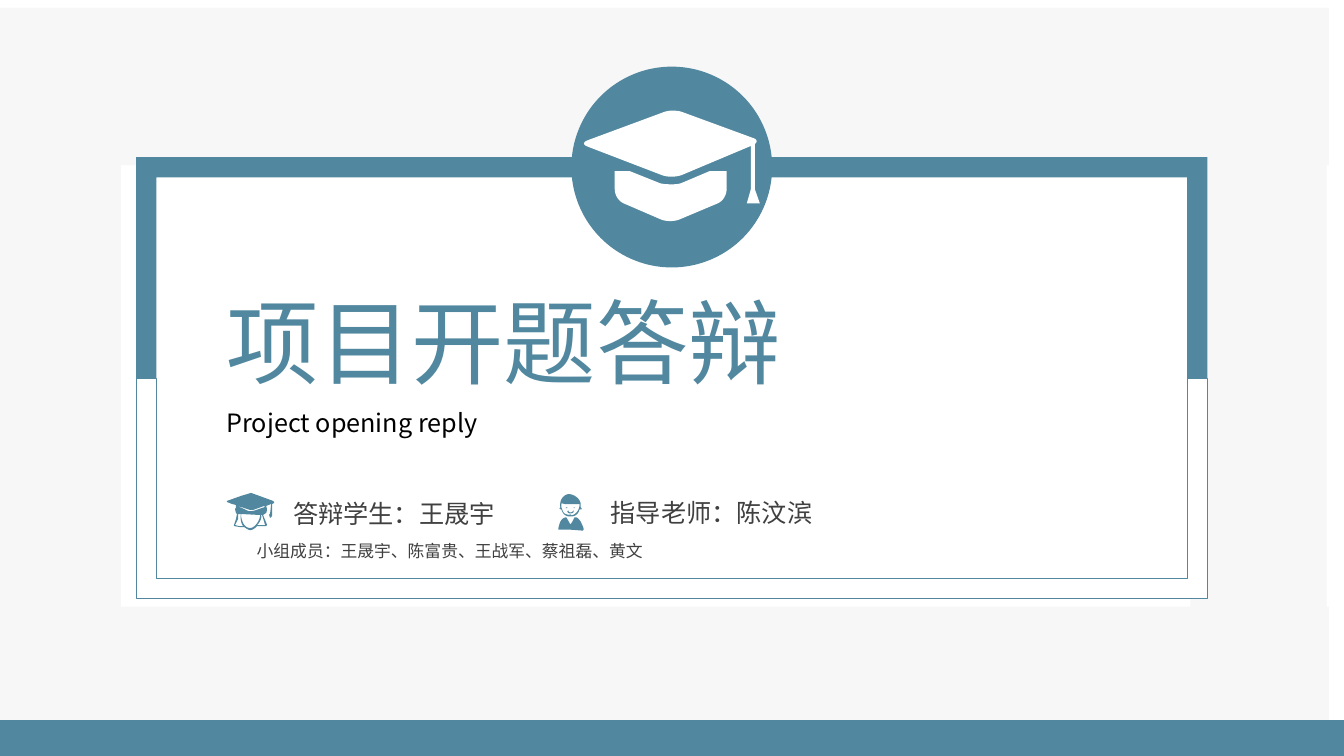
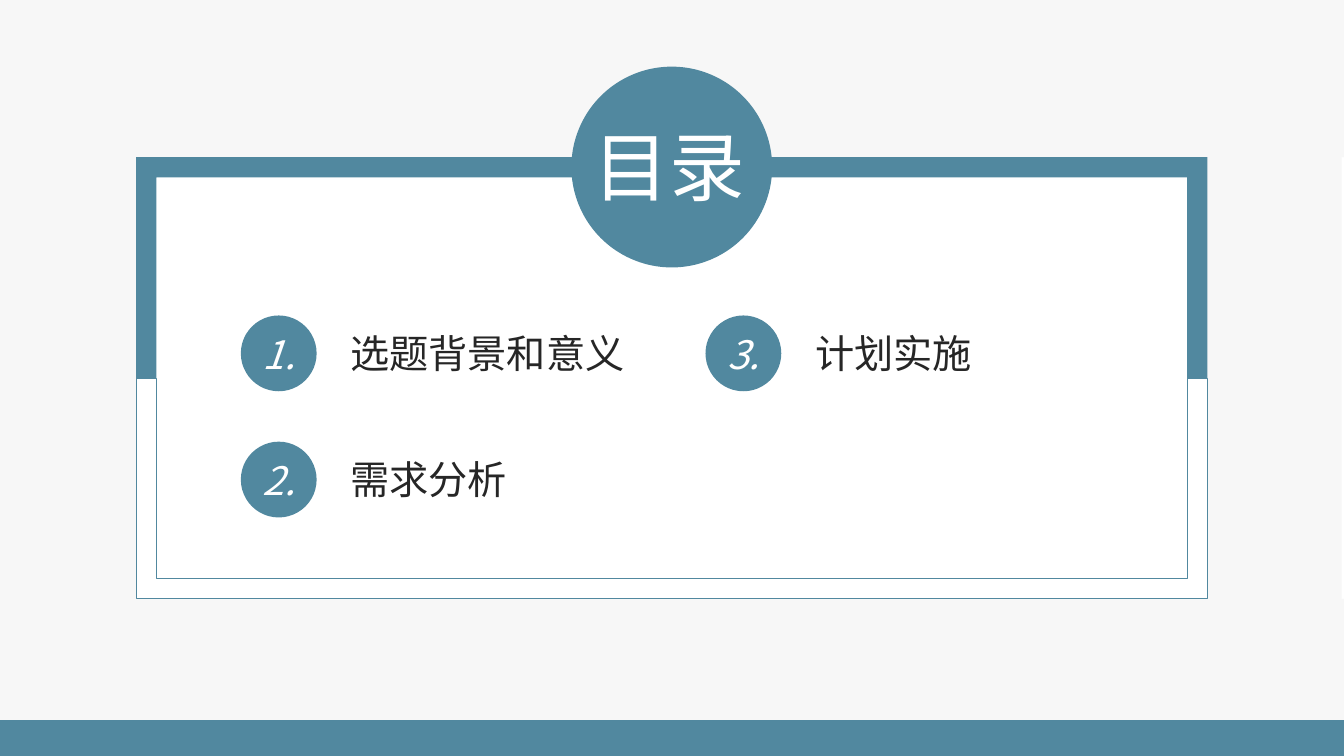
from dataclasses import dataclass

from lxml import etree
from pptx import Presentation
from pptx import util as u
from pptx.dml.color import RGBColor
from pptx.enum import shapes, text
from pptx.oxml.ns import qn


@dataclass(frozen=True)
class Theme:
    font: str = "Noto Sans CJK SC"
    accent: str = "51889F"
    backdrop: str = "F7F7F7"
    white: str = "FFFFFF"
    black: str = "000000"
    detail: str = "404040"
    agenda: str = "262626"
    cover_size: int = 66
    heading_size: int = 54
    agenda_size: int = 28
    body_size: int = 18
    small_size: int = 12


THEME = Theme()
SLIDE_WIDTH, SLIDE_HEIGHT = 33.87, 19.05
FRAME_LEFT, FRAME_TOP, FRAME_RIGHT, FRAME_BOTTOM = 3.43, 3.96, 30.43, 15.09
FRAME_MIDDLE, FRAME_THICKNESS = 9.53, 0.51
STEPS = 8  # straight pieces per curve

Contour = list[tuple[float, ...]]  # a pair is a corner, six numbers a Bézier curve


@dataclass(frozen=True)
class Box:
    """A rectangle in centimetres."""
    left: float
    top: float
    width: float
    height: float

    def lengths(self) -> list[u.Length]:
        return [u.Cm(n) for n in (self.left, self.top, self.width, self.height)]


@dataclass(frozen=True)
class Label:
    words: str
    box: Box
    size: int
    color: str


@dataclass(frozen=True)
class Icon:
    """Contours on a grid that is drawn `width` centimetres wide."""
    left: float
    top: float
    width: float
    grid: int
    color: str
    contours: list[Contour]


CAP = Icon(14.73, 2.79, 4.42, 174, THEME.white, [
    [(30, 60), (45, 60), (75, 72), (79, 73, 83, 73, 86, 73), (90, 73, 94, 73, 98, 71),
     (124, 60), (141, 60), (141, 78), (141, 84, 137, 90, 132, 92), (94, 108),
     (89, 110, 81, 110, 76, 108), (39, 92), (34, 90, 30, 84, 30, 78)],
    [(86, 0), (90, 0, 93, 0, 96, 1), (167, 27), (171, 28, 172, 31, 169, 33),
     (169, 78), (174, 92), (161, 92), (165, 78), (165, 35), (96, 64),
     (90, 66, 82, 66, 77, 64), (4, 36), (-2, 34, -2, 31, 4, 29), (77, 2),
     (79, 1, 83, 0, 86, 0)],
])
STUDENT = Icon(5.72, 12.42, 1.19, 47, THEME.accent, [
    [(47, 9), (46, 8), (35, 4), (24, 0), (14, 3), (0, 8), (0, 9), (5, 11), (9, 12),
     (9, 15), (8, 16), (9, 20), (10, 21), (9, 26), (7, 32), (7, 33), (13, 34),
     (17, 34), (19, 35, 21, 37, 23, 37), (26, 37, 28, 35, 30, 33), (39, 33), (40, 32),
     (36, 22), (39, 20), (40, 18, 40, 15, 39, 13), (44, 11), (43, 20), (42, 22),
     (43, 25), (45, 23), (45, 11), (47, 10)],
    [(15, 33), (12, 33), (8, 32), (11, 26), (11, 21), (14, 21), (13, 25, 14, 30, 16, 33)],
    [(23, 35), (17, 35, 14, 27, 14, 21), (33, 22), (33, 27, 28, 35, 23, 35)],
    [(38, 32), (30, 32), (33, 29, 35, 25, 34, 22), (35, 22)],
    [(32, 16), (29, 17, 27, 18, 25, 18), (22, 19, 19, 17, 17, 16), (10, 13), (14, 14),
     (23, 17), (26, 17), (37, 13), (38, 14)],
])
TEACHER = Icon(14.07, 12.45, 0.64, 25, THEME.accent, [
    [(7, 23), (8, 23), (12, 30), (14, 27), (16, 23), (19, 22, 21, 26, 22, 27),
     (23, 29, 25, 33, 25, 35), (24, 36), (11, 35), (0, 35), (0, 34), (1, 30, 2, 24, 7, 23)],
    [(10, 0), (15, 0, 21, 4, 22, 9), (22, 13), (23, 14), (23, 15), (21, 15),
     (20, 19, 17, 22, 13, 22), (11, 22), (7, 22, 4, 19, 3, 15), (2, 15), (1, 14), (2, 13),
     (1, 7, 4, 1, 10, 0)],
    [(3, 9), (3, 13), (4, 15, 4, 17, 6, 19), (8, 20, 10, 21, 12, 20), (13, 21),
     (18, 20, 21, 15, 21, 10), (18, 10), (7, 10)],
    [(15, 16), (16, 18, 14, 19, 12, 19), (11, 19, 9, 19, 9, 17), (10, 16),
     (10, 18, 11, 18, 12, 18), (13, 18, 14, 18, 15, 16)],
    [(7, 14), (8, 13), (9, 13), (9, 14)],
    [(15, 14), (15, 13), (16, 13), (16, 14)],
])

COVER_TITLE = Label("项目开题答辩", Box(5.46, 7.06, 22.94, 3.07), THEME.cover_size, THEME.accent)
COVER_LABELS = [
    Label("Project opening reply", Box(5.46, 10.13, 22.94, 1.02), THEME.body_size, THEME.black),
    Label("答辩学生：王晟宇", Box(7.14, 12.42, 6.17, 1.02), THEME.body_size, THEME.detail),
    Label("指导老师：陈汶滨", Box(15.14, 12.4, 5.84, 1.02), THEME.body_size, THEME.detail),
    Label("小组成员：王晟宇、陈富贵、王战军、蔡祖磊、黄文", Box(6.22, 13.51, 16.97, 0.76),
          THEME.small_size, THEME.detail),
]
AGENDA_TITLE = Label("目录", Box(14.71, 2.9, 4.47, 2.57), THEME.heading_size, THEME.white)
AGENDA = ["选题背景和意义", "需求分析", "计划实施"]
AGENDA_ROWS = 2


def paint(shape, fill: str, line: str | None = None) -> None:
    shape.shadow.inherit = False
    shape.fill.solid()
    shape.fill.fore_color.rgb = RGBColor.from_string(fill)
    if line is None:
        shape.line.fill.background()
    else:
        shape.line.color.rgb = RGBColor.from_string(line)
        shape.line.width = u.Pt(0.5)


def flatten(contour: Contour) -> list[tuple[float, float]]:
    """Replace each curve by short straight pieces."""
    points: list[tuple[float, float]] = []
    for item in contour:
        if len(item) == 2:
            points.append((item[0], item[1]))
            continue
        knots = [points[-1], item[:2], item[2:4], item[4:]]
        for step in range(1, STEPS + 1):
            t = step / STEPS
            weights = ((1 - t) ** 3, 3 * t * (1 - t) ** 2, 3 * t * t * (1 - t), t ** 3)
            x, y = (sum(w * k[axis] for w, k in zip(weights, knots)) for axis in (0, 1))
            points.append((x, y))
    return points


def add_outline(slide, contours: list[Contour], fill: str, line: str | None = None,
                left: float = 0, top: float = 0, unit: float = 1) -> None:
    """Draw closed contours; `unit` is the length of one grid step in centimetres."""
    builder = None
    for contour in contours:
        points = [(x * unit * 1000, y * unit * 1000) for x, y in flatten(contour)]
        if builder is None:
            builder = slide.shapes.build_freeform(*points[0], scale=u.Cm(0.001))
        else:
            builder.move_to(*points[0])
        builder.add_line_segments(points[1:], close=True)
    paint(builder.convert_to_shape(u.Cm(left), u.Cm(top)), fill, line)


def add_icon(slide, icon: Icon) -> None:
    add_outline(slide, icon.contours, icon.color, left=icon.left, top=icon.top,
                unit=icon.width / icon.grid)


def add_preset(slide, kind: shapes.MSO_SHAPE, box: Box):
    shape = slide.shapes.add_shape(kind, *box.lengths())
    paint(shape, THEME.accent)
    return shape


def write(shape, words: str, size: int, color: str,
          align: text.PP_ALIGN = text.PP_ALIGN.JUSTIFY, italic: bool = False) -> None:
    paragraph = shape.text_frame.paragraphs[0]
    paragraph.text = words
    paragraph.alignment = align
    font = paragraph.runs[0].font
    font.size, font.name = u.Pt(size), THEME.font
    font.color.rgb = RGBColor.from_string(color)
    if italic:
        font.italic = True
    properties = paragraph.runs[0].font._element
    etree.SubElement(properties, qn("a:ea")).set("typeface", THEME.font)


def fill_label(shape, label: Label) -> None:
    frame = shape.text_frame
    frame.word_wrap = True
    frame.auto_size = text.MSO_AUTO_SIZE.SHAPE_TO_FIT_TEXT
    frame.vertical_anchor = text.MSO_ANCHOR.TOP
    write(shape, label.words, label.size, label.color)


def add_label(slide, label: Label) -> None:
    fill_label(slide.shapes.add_textbox(*label.box.lengths()), label)


def add_title(slide, label: Label) -> None:
    """Place the title placeholder in front of everything drawn so far."""
    title = slide.shapes.title
    title.left, title.top, title.width, title.height = label.box.lengths()
    fill_label(title, label)
    title.element.getparent().append(title.element)


def add_bracket(slide, edge: float, fill: str, line: str | None = None) -> None:
    """Draw the half of the frame that runs from its middle to `edge`."""
    inner = edge + (FRAME_THICKNESS if edge < FRAME_MIDDLE else -FRAME_THICKNESS)
    inner_left, inner_right = FRAME_LEFT + FRAME_THICKNESS, FRAME_RIGHT - FRAME_THICKNESS
    add_outline(slide, [[
        (FRAME_LEFT, FRAME_MIDDLE), (FRAME_LEFT, edge), (FRAME_RIGHT, edge),
        (FRAME_RIGHT, FRAME_MIDDLE), (inner_right, FRAME_MIDDLE), (inner_right, inner),
        (inner_left, inner), (inner_left, FRAME_MIDDLE)]], fill, line)


def add_framed_slide(presentation, shift_x: float = 0, shift_y: float = 0):
    """Add a slide with backdrop, frame, medallion and bottom band."""
    slide = presentation.slides.add_slide(presentation.slide_layouts[5])
    window_right, notch = 30.38, 33.81
    window = [(FRAME_LEFT, FRAME_TOP), (FRAME_LEFT, FRAME_BOTTOM),
              (window_right, FRAME_BOTTOM), (window_right, FRAME_TOP)]
    border = [(0, 0), (SLIDE_WIDTH, 0), (SLIDE_WIDTH, FRAME_TOP), (notch, FRAME_TOP),
              (notch, FRAME_BOTTOM), (SLIDE_WIDTH, FRAME_BOTTOM),
              (SLIDE_WIDTH, SLIDE_HEIGHT), (0, SLIDE_HEIGHT)]
    add_outline(slide, [window, border], THEME.backdrop, left=shift_x, top=shift_y)
    add_bracket(slide, FRAME_TOP, THEME.accent)
    add_bracket(slide, FRAME_BOTTOM, THEME.white, THEME.accent)
    add_preset(slide, shapes.MSO_SHAPE.OVAL, Box(14.4, 1.68, 5.06, 5.06))
    add_preset(slide, shapes.MSO_SHAPE.RECTANGLE, Box(0, 18.15, SLIDE_WIDTH, 0.9))
    return slide


def add_agenda_item(slide, index: int, words: str) -> None:
    column, row = divmod(index, AGENDA_ROWS)
    left, top = 6.07 + column * 11.71, 7.95 + row * 3.18
    badge = add_preset(slide, shapes.MSO_SHAPE.OVAL, Box(left, top, 1.91, 1.91))
    frame = badge.text_frame
    frame.word_wrap = False
    frame.vertical_anchor = text.MSO_ANCHOR.MIDDLE
    frame.margin_left = frame.margin_right = frame.margin_top = frame.margin_bottom = 0
    write(badge, f"{index + 1}.", THEME.agenda_size, THEME.white,
          text.PP_ALIGN.CENTER, italic=True)
    add_label(slide, Label(words, Box(left + 2.51, top + 0.22, 7.52, 1.45),
                           THEME.agenda_size, THEME.agenda))


def build_cover(presentation) -> None:
    slide = add_framed_slide(presentation, shift_x=-0.38, shift_y=0.2)
    for icon in (CAP, STUDENT, TEACHER):
        add_icon(slide, icon)
    add_title(slide, COVER_TITLE)
    for label in COVER_LABELS:
        add_label(slide, label)


def build_agenda(presentation) -> None:
    slide = add_framed_slide(presentation)
    add_title(slide, AGENDA_TITLE)
    for index, words in enumerate(AGENDA):
        add_agenda_item(slide, index, words)


def main() -> None:
    presentation = Presentation()
    presentation.slide_width = u.Cm(SLIDE_WIDTH)
    presentation.slide_height = u.Cm(SLIDE_HEIGHT)
    build_cover(presentation)
    build_agenda(presentation)
    presentation.save("out.pptx")


if __name__ == "__main__":
    main()
